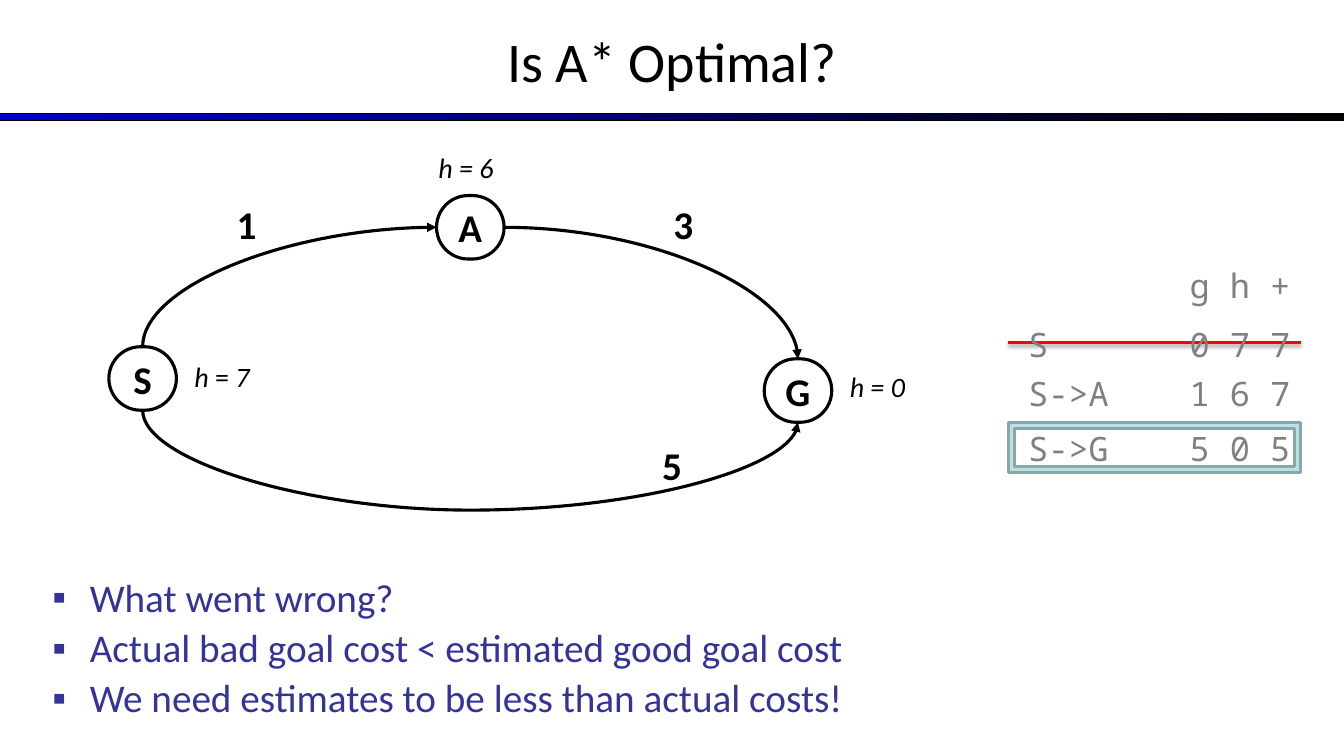
import pptx
import pptx.util
import pptx.dml.color
import pptx.enum.dml
import pptx.enum.shapes
import pptx.enum.text
import pptx.oxml.ns
import lxml.etree

Inches = pptx.util.Inches
Pt = pptx.util.Pt
Rgb = pptx.dml.color.RGBColor.from_string
Shape = pptx.enum.shapes.MSO_SHAPE
Link = pptx.enum.shapes.MSO_CONNECTOR
Align = pptx.enum.text.PP_ALIGN
Anchor = pptx.enum.text.MSO_ANCHOR
Fit = pptx.enum.text.MSO_AUTO_SIZE
qn = pptx.oxml.ns.qn
sub = lxml.etree.SubElement


class Theme:
    sans = "Calibri"
    mono = "Noto Sans Mono"
    ink = "000000"
    blue = "0000CC"
    navy = "333399"
    gray = "808080"
    red = "FF0000"
    teal = "BBE0E3"
    edge = "8AA6A8"
    title = 40
    main = 28
    code = 24
    note = 20
    stroke = 2.25


def write(para, words, size, color=Theme.ink, face=Theme.sans, bold=False, slant=False):
    run = para.add_run()
    run.text = words
    run.font.size = Pt(size)
    run.font.name = face
    run.font.bold = bold
    run.font.italic = slant
    run.font.color.rgb = Rgb(color)


def label(left, top, width, height):
    box = slide.shapes.add_textbox(Inches(left), Inches(top), Inches(width), Inches(height))
    box.text_frame.word_wrap = True
    box.text_frame.auto_size = Fit.SHAPE_TO_FIT_TEXT
    return box.text_frame.paragraphs[0]


deck = pptx.Presentation()
deck.slide_width = Inches(13.33)
deck.slide_height = Inches(7.5)
slide = deck.slides.add_slide(deck.slide_layouts[1])

bar = slide.shapes.add_shape(Shape.RECTANGLE, 0, Inches(1.13), deck.slide_width, Inches(0.07))
bar.shadow.inherit = False
bar.fill.gradient()
bar.fill.gradient_angle = 0
for stop, color in zip(bar.fill.gradient_stops, (Theme.blue, Theme.ink)):
    stop.color.rgb = Rgb(color)
bar.line.color.rgb = Rgb(Theme.ink)
bar.line.width = Pt(0.75)

title = slide.shapes.title
title.left, title.top = 0, Inches(-0.03)
title.width, title.height = deck.slide_width, Inches(1.25)
title.text_frame.auto_size = Fit.NONE
title.text_frame.vertical_anchor = Anchor.MIDDLE
head = title.text_frame.paragraphs[0]
head.alignment = Align.CENTER
write(head, "Is A* Optimal?", Theme.title)

body = slide.placeholders[1]
body.left, body.top = Inches(0.42), Inches(5.69)
body.width, body.height = Inches(10.47), Inches(1.58)
body.text_frame.auto_size = Fit.NONE
points = [
    "What went wrong?",
    "Actual bad goal cost < estimated good goal cost",
    "We need estimates to be less than actual costs!",
]
for i, point in enumerate(points):
    para = body.text_frame.add_paragraph() if i else body.text_frame.paragraphs[0]
    props = para._p.get_or_add_pPr()
    props.set("marL", str(Inches(0.37)))
    props.set("indent", str(Inches(-0.37)))
    sub(sub(props, qn("a:buClr")), qn("a:srgbClr"), val=Theme.navy)
    sub(props, qn("a:buChar"), char="▪")
    para.line_spacing = 0.9
    para.space_before = Pt(0.2 * Theme.main if i else 0)
    write(para, point, Theme.main, Theme.navy)

wide, tall = 0.67, 0.63
nodes = {"A": (4.33, 1.94), "G": (7.58, 3.56), "S": (1.08, 3.44)}
for name, (left, top) in nodes.items():
    node = slide.shapes.add_shape(
        Shape.ROUNDED_RECTANGLE, Inches(left), Inches(top), Inches(wide), Inches(tall))
    node.adjustments[0] = 0.5
    node.shadow.inherit = False
    node.fill.background()
    node.line.color.rgb = Rgb(Theme.ink)
    node.line.width = Pt(Theme.stroke)
    node.text_frame.word_wrap = False
    node.text_frame.vertical_anchor = Anchor.MIDDLE
    para = node.text_frame.paragraphs[0]
    para.alignment = Align.CENTER
    write(para, name, Theme.main, bold=True)

costs = [
    ("1", 2.25, 1.94, 0.5, Align.LEFT),
    ("3", 6.58, 1.94, 0.5, Align.LEFT),
    ("5", 0, 4.33, 13.33, Align.CENTER),
]
for cost, left, top, width, align in costs:
    para = label(left, top, width, 0.57)
    para.alignment = align
    write(para, cost, Theme.main, bold=True)

guesses = [
    (4.25, 1.44, 1, [("h = 6", True)]),
    (8.33, 3.62, 1, [("h = 0", True)]),
    (1.83, 3.52, 0.83, [("h", True), (" = ", False), ("7", True)]),
]
for left, top, width, parts in guesses:
    para = label(left, top, width, 0.44)
    for words, slant in parts:
        write(para, words, Theme.note, slant=slant)

ports = {}
for name, (left, top) in nodes.items():
    ports[name] = [
        (left + wide / 2, top),
        (left, top + tall / 2),
        (left + wide / 2, top + tall),
        (left + wide, top + tall / 2),
    ]
depth = 0.99
curves = [
    (ports["S"][2], ports["G"][2], 270, "h", "curvedConnector3"),
    (ports["S"][0], ports["A"][1], 90, "hv", "curvedConnector2"),
    (ports["A"][3], ports["G"][0], 0, "", "curvedConnector2"),
]
for (x1, y1), (x2, y2), turn, flips, preset in curves:
    w, h = abs(x2 - x1), abs(y2 - y1)
    drop = h
    if turn % 180:
        w, h = h, w
    left, top = (x1 + x2 - w) / 2, (y1 + y2 - h) / 2
    curve = slide.shapes.add_connector(
        Link.CURVE, Inches(left), Inches(top), Inches(left + w), Inches(top + h))
    curve.line.color.rgb = Rgb(Theme.ink)
    curve.line.width = Pt(Theme.stroke)
    props = curve._element.spPr
    frame = props.find(qn("a:xfrm"))
    frame.set("rot", str(turn * 60000))
    for flip in flips:
        frame.set("flip" + flip.upper(), "1")
    shape = props.find(qn("a:prstGeom"))
    shape.set("prst", preset)
    if preset == "curvedConnector3":
        bend = shape.find(qn("a:avLst"))
        sub(bend, qn("a:gd"), name="adj1", fmla=f"val {round(depth / drop * 100000)}")
    sub(props.find(qn("a:ln")), qn("a:tailEnd"), type="triangle")
    sub(props, qn("a:effectLst"))

strike = slide.shapes.add_connector(
    Link.STRAIGHT, Inches(10), Inches(3.4), Inches(12.9), Inches(3.4))
strike.line.color.rgb = Rgb(Theme.red)
strike.line.width = Pt(2)
glow = sub(sub(strike._element.spPr, qn("a:effectLst")), qn("a:outerShdw"),
           blurRad=str(Pt(3.1)), dist=str(Pt(1.6)), dir="5400000", rotWithShape="0")
tint = sub(glow, qn("a:srgbClr"), val=Theme.ink)
sub(tint, qn("a:alpha"), val="38000")

rows = [
    (2.58, "\tg h +"),
    (3.16, "S\t0 7 7"),
    (3.65, "S->A\t1 6 7"),
    (4.2, "S->G\t5 0 5"),
]
for top, words in rows:
    para = label(10.1, top, 2.9, 0.5)
    tabs = sub(para._p.get_or_add_pPr(), qn("a:tabLst"))
    sub(tabs, qn("a:tab"), pos=str(Inches(1.6)), algn="l")
    write(para, words, Theme.code, Theme.gray, Theme.mono)

pick = slide.shapes.add_shape(Shape.FRAME, Inches(10), Inches(4.19), Inches(2.9), Inches(0.5))
pick.shadow.inherit = False
pick.fill.solid()
pick.fill.fore_color.rgb = Rgb(Theme.teal)
pick.line.color.rgb = Rgb(Theme.edge)
pick.line.width = Pt(2)

deck.save("out.pptx")
